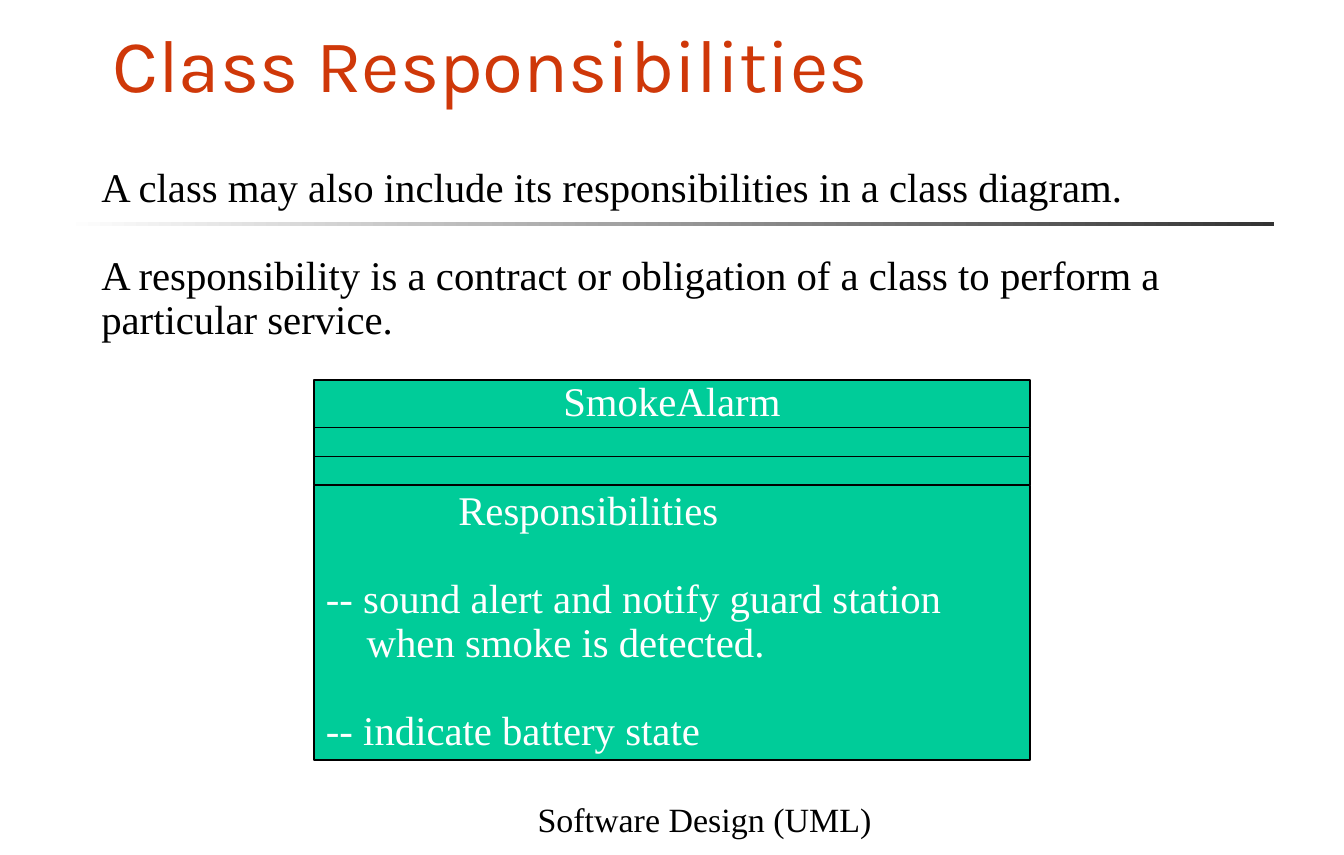
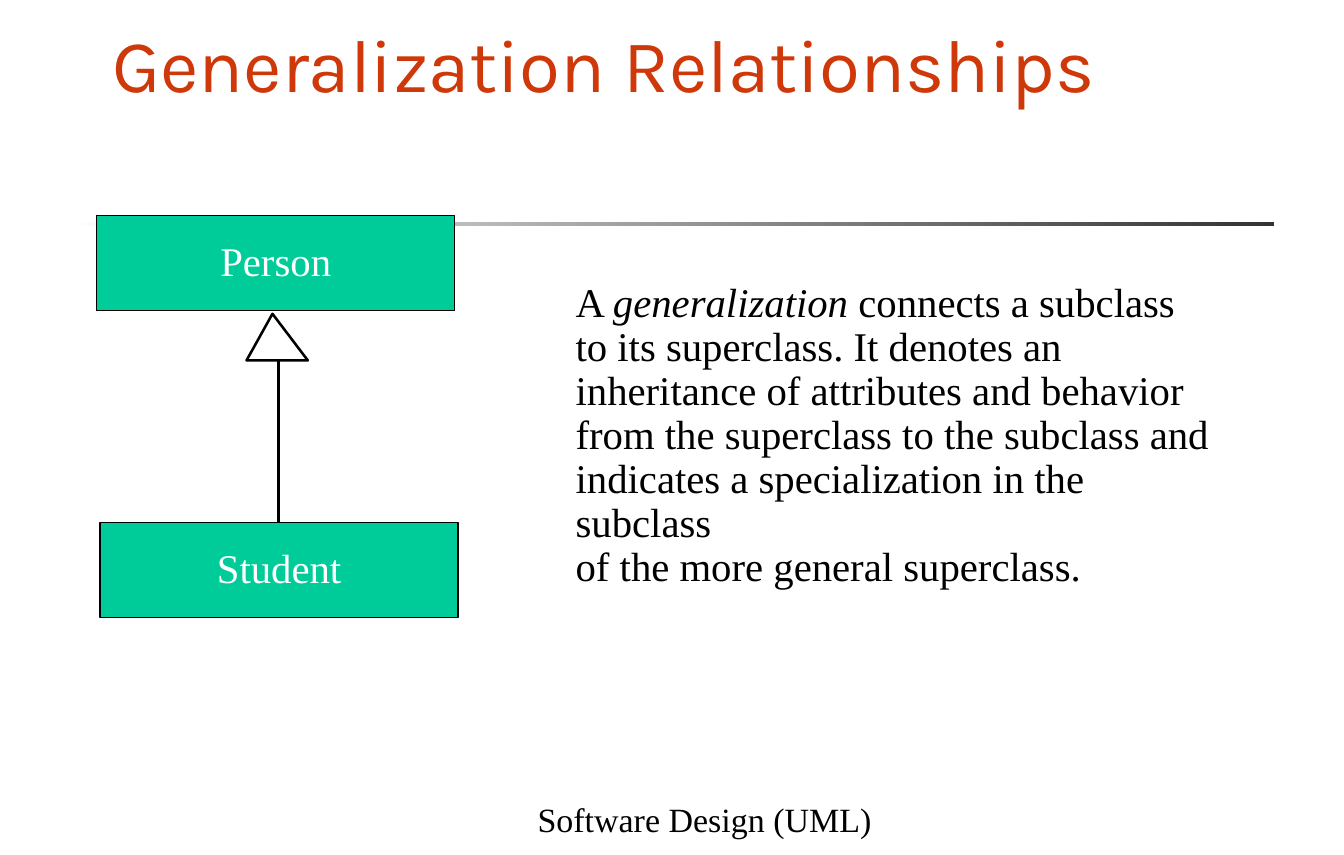
from lxml import etree
from pptx import Presentation
from pptx.dml.color import RGBColor
from pptx.enum.shapes import MSO_CONNECTOR, MSO_SHAPE
from pptx.enum.text import MSO_ANCHOR, MSO_AUTO_SIZE, PP_ALIGN
from pptx.oxml.ns import qn
from pptx.util import Pt

RECTANGLE = MSO_SHAPE.RECTANGLE
STRAIGHT = MSO_CONNECTOR.STRAIGHT
TOP, MIDDLE, BOTTOM = MSO_ANCHOR.TOP, MSO_ANCHOR.MIDDLE, MSO_ANCHOR.BOTTOM
LEFT, CENTER = PP_ALIGN.LEFT, PP_ALIGN.CENTER
NO_AUTOFIT = MSO_AUTO_SIZE.NONE

COLORS = {
    "title": "CF3809",
    "text": "000000",
    "class": "00CC99",
    "class_text": "FFFFFF",
    "outline": "000000",
    "rule_start": "FFFFFF",
    "rule_end": "333333",
    "arrowhead": "FFFFFF",
}
TITLE_FONT, TEXT_FONT = "Karla", "Times New Roman"
TITLE_SIZE, TEXT_SIZE, FOOTER_SIZE = 44, 24, 20
LINE_SPACING = 0.9
BLANK_LINE = 25.92
FOOTER = "Software Design (UML)"


def rgb(name):
    return RGBColor.from_string(COLORS[name])


class Deck:
    def __init__(self, width, height):
        self.prs = Presentation()
        self.prs.slide_width, self.prs.slide_height = Pt(width), Pt(height)
        self.layout = self.prs.slide_layouts[1]
        self.slide = None

    def new_slide(self, title):
        first = self.slide is None
        self.slide = self.prs.slides.add_slide(self.layout)
        if first:
            self.layout_rule()
        self.footer()
        heading = self.slide.shapes.title
        self.place(heading, 59, 28, 680, 39)
        self.set_text(heading, [title], "title", font=TITLE_FONT, size=TITLE_SIZE,
                      anchor=BOTTOM, spacing=1.02)

    def layout_rule(self):
        """Draw the fading rule and move it to the layout shared by all slides."""
        rule = self.slide.shapes.add_shape(RECTANGLE, Pt(38), Pt(131), Pt(713), Pt(2.3))
        rule.shadow.inherit = False
        rule.line.fill.background()
        rule.fill.gradient()
        rule.fill.gradient_angle = 0
        for stop, name in zip(rule.fill.gradient_stops, ("rule_start", "rule_end")):
            stop.color.rgb = rgb(name)
        self.layout.shapes.element.append(rule.element)

    def footer(self):
        footer = self.slide.shapes.add_textbox(Pt(290), Pt(464.4), Pt(250.5), Pt(34))
        self.set_text(footer, [FOOTER], "text", size=FOOTER_SIZE, align=CENTER,
                      anchor=BOTTOM, spacing=1.0)

    def body(self, x, y, width, height, lines, **style):
        body = self.slide.placeholders[1]
        self.place(body, x, y, width, height)
        self.set_text(body, lines, "text", **style)

    def class_box(self, x, y, width, height, lines=(), group=None, **style):
        shapes = group.shapes if group else self.slide.shapes
        box = shapes.add_shape(RECTANGLE, Pt(x), Pt(y), Pt(width), Pt(height))
        self.paint(box, "class", 0.75)
        if lines:
            self.set_text(box, lines, "class_text", anchor=MIDDLE, **style)

    def class_diagram(self, x, y, width, compartments):
        """Stack compartments, given as (height, lines, style), into one class."""
        group = self.slide.shapes.add_group_shape()
        for height, lines, style in compartments:
            self.class_box(x, y, width, height, lines, group, **style)
            y += height

    def generalization(self, x, bottom, base, apex, head_left, head_right):
        """Draw a line up to the base of a hollow triangle; apex is an (x, y) pair."""
        group = self.slide.shapes.add_group_shape()
        line = group.shapes.add_connector(STRAIGHT, Pt(x), Pt(base), Pt(x), Pt(bottom))
        line.line.color.rgb = rgb("outline")
        line.line.width = Pt(1.5)
        etree.SubElement(line.element.spPr, qn("a:effectLst"))
        outline = group.shapes.build_freeform(Pt(apex[0]), Pt(apex[1]))
        outline.add_line_segments([(Pt(head_left), Pt(base)), (Pt(head_right), Pt(base))])
        self.paint(outline.convert_to_shape(), "arrowhead", 1.5)

    @staticmethod
    def place(shape, x, y, width, height):
        shape.left, shape.top = Pt(x), Pt(y)
        shape.width, shape.height = Pt(width), Pt(height)

    @staticmethod
    def paint(shape, fill, line_width):
        shape.shadow.inherit = False
        shape.fill.solid()
        shape.fill.fore_color.rgb = rgb(fill)
        shape.line.color.rgb = rgb("outline")
        shape.line.width = Pt(line_width)

    @staticmethod
    def set_text(shape, lines, color, font=TEXT_FONT, size=TEXT_SIZE, align=LEFT,
                 anchor=TOP, spacing=LINE_SPACING, indents=None, gaps_before=(),
                 italic=None):
        """Fill a shape; indents maps line number to points, gaps_before lists lines."""
        frame = shape.text_frame
        frame.text = "\n".join(lines)
        frame.word_wrap = True
        frame.auto_size = NO_AUTOFIT
        frame.vertical_anchor = anchor
        for number, paragraph in enumerate(frame.paragraphs):
            before, found, after = paragraph.text.partition(italic or "\n")
            if found:
                paragraph.text = before
                paragraph.add_run().text = found
                paragraph.add_run().text = after
            paragraph.alignment = align
            paragraph.line_spacing = spacing
            paragraph.space_before = Pt(BLANK_LINE if number in gaps_before else 0)
            paragraph.space_after = Pt(0)
            properties = paragraph._p.get_or_add_pPr()
            properties.set("marL", str(Pt((indents or {}).get(number, 0))))
            properties.set("indent", "0")
            etree.SubElement(properties, qn("a:buNone"))
            for run in paragraph.runs:
                run.font.name = font
                run.font.size = Pt(size)
                run.font.color.rgb = rgb(color)
                run.font.italic = run.text == italic


def responsibilities_slide(deck):
    deck.new_slide("Class Responsibilities")
    deck.body(52.5, 95, 693.5, 111, [
        "A class may also include its responsibilities in a class diagram.",
        "A responsibility is a contract or obligation of a class to perform a "
        "particular service.",
    ], gaps_before=(1,))
    responsibilities = [
        "Responsibilities",
        "-- sound alert and notify guard station",
        "when smoke is detected.",
        "-- indicate battery state",
    ]
    deck.class_diagram(185, 224, 422, [
        (28, ["SmokeAlarm"], {"align": CENTER}),
        (17, [], {}),
        (17, [], {}),
        (162, responsibilities, {"indents": {0: 78, 2: 24}, "gaps_before": (1, 3)}),
    ])


def generalization_slide(deck):
    deck.new_slide("Generalization Relationships")
    deck.class_box(57, 127, 211, 56, ["Person"], align=CENTER)
    deck.body(332, 163, 400, 163, [
        "A generalization connects a subclass",
        "to its superclass. It denotes an",
        "inheritance of attributes and behavior",
        "from the superclass to the subclass and",
        "indicates a specialization in the subclass",
        "of the more general superclass.",
    ], italic="generalization")
    deck.class_box(59, 308, 211, 56, ["Student"], align=CENTER)
    deck.generalization(164, 308, base=212.5, apex=(160.6, 185),
                        head_left=145.3, head_right=181.4)


def main():
    deck = Deck(792, 504)
    responsibilities_slide(deck)
    generalization_slide(deck)
    deck.prs.save("out.pptx")


if __name__ == "__main__":
    main()
